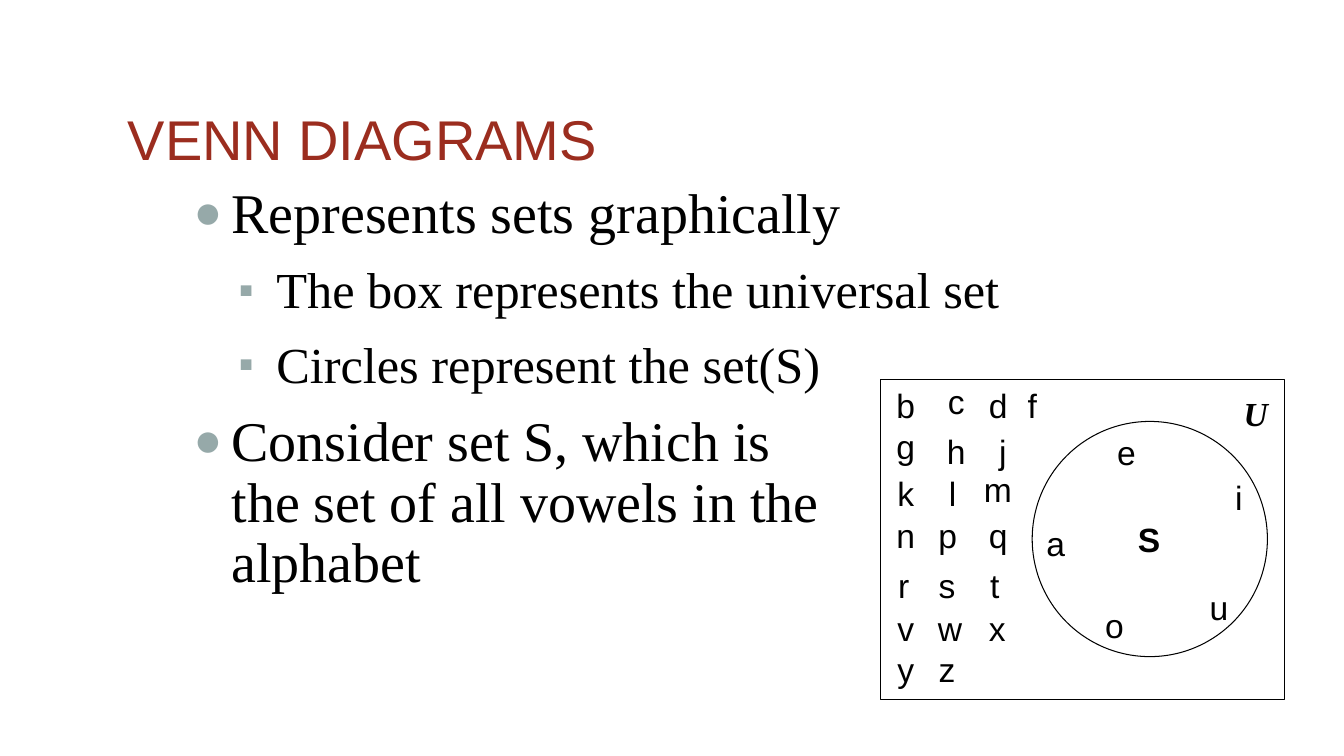
"""Build a slide that explains Venn diagrams with the vowels of the alphabet."""
from lxml import etree
from pptx import Presentation
from pptx.dml import color
from pptx.enum import shapes, text
from pptx.oxml import ns
from pptx.util import Pt

TITLE = "VENN DIAGRAMS"
POINTS = [
    (1, ["Represents sets graphically"]),
    (2, ["The box represents the universal set"]),
    (2, ["Circles represent the set(S)"]),
    (1, ["Consider set S, which is ", "the set of all vowels in the", "alphabet"]),
]
LEVELS = {1: ("●", 28, 40), 2: ("▪", 60, 36)}
CONSONANTS = [
    (271.4, {"b": 647, "d": 713, "f": 737.3}),
    (268.6, {"c": 683}),
    (301, {"g": 647}),
    (304.6, {"h": 683, "j": 716.4}),
    (334, {"k": 647, "l": 680.4}),
    (331.2, {"m": 712.8}),
    (364.3, {"n": 647, "p": 677, "q": 713}),
    (400.3, {"r": 645.5, "s": 676.4, "t": 710.6}),
    (430.6, {"v": 647, "w": 678.6, "x": 712.4}),
    (460, {"y": 647, "z": 676.4}),
]
VOWELS = [
    (370, {"a": 754.2}),
    (305.3, {"e": 804.6}),
    (337, {"i": 885}),
    (428.4, {"o": 796}),
    (415.4, {"u": 870.8}),
]
WIDTHS = {"i": 20, "j": 20, "l": 20, "f": 22, "t": 22, "r": 22,
          "m": 34.5, "w": 32.4, "U": 31.7, "S": 30.2}


def rgb(value):
    """Return the colour for a hex string."""
    return color.RGBColor.from_string(value)


class VennSlide:
    """Hold the style and the slide that is being drawn."""

    sans, serif = "Arial", "Times New Roman"
    ink, accent, bullet = "000000", "9B2D1F", "96A9A9"

    def __init__(self, deck):
        """Add a blank slide to the deck."""
        self.slide = deck.slides.add_slide(deck.slide_layouts[6])

    def frame(self, left, top, width, height, wrap=True):
        """Add a text box and return its text frame."""
        box = self.slide.shapes.add_textbox(Pt(left), Pt(top), Pt(width), Pt(height))
        box.text_frame.word_wrap = wrap
        return box.text_frame

    def run(self, paragraph, words, size, face, ink=ink, bold=False, italic=False):
        """Add one styled run to a paragraph."""
        run = paragraph.add_run()
        run.text = words
        font = run.font
        font.size, font.name, font.color.rgb = Pt(size), face, rgb(ink)
        font.bold, font.italic = bold, italic

    def title(self, words):
        """Add the slide title."""
        heading = self.frame(84.2, 38.2, 792, 126.7)
        heading.vertical_anchor = text.MSO_ANCHOR.MIDDLE
        heading.paragraphs[0].line_spacing = 0.9
        self.run(heading.paragraphs[0], words, 40, self.sans, self.accent)

    def mark(self, paragraph, symbol, indent):
        """Give a paragraph a coloured bullet with a hanging indent."""
        props = paragraph._p.get_or_add_pPr()
        props.set("marL", str(Pt(indent)))
        props.set("indent", str(Pt(-27)))
        tint = etree.SubElement(props, ns.qn("a:buClr"))
        etree.SubElement(tint, ns.qn("a:srgbClr"), val=self.bullet)
        etree.SubElement(props, ns.qn("a:buSzPct"), val="85000")
        etree.SubElement(props, ns.qn("a:buFont"), typeface=self.sans)
        etree.SubElement(props, ns.qn("a:buChar"), char=symbol)

    def bullets(self, points):
        """Add the bulleted explanation."""
        body = self.frame(130.3, 128.9, 684, 404)
        for order, (level, lines) in enumerate(points):
            symbol, indent, size = LEVELS[level]
            point = body.add_paragraph() if order else body.paragraphs[0]
            self.mark(point, symbol, indent)
            point.level = level - 1
            point.line_spacing = 0.9
            point.space_before = Pt(12 if order else 0)
            point.space_after = Pt(2)
            for row, line in enumerate(lines):
                if row:
                    point.add_line_break()
                self.run(point, line, size, self.serif)

    def outline(self, kind, left, top, width, height):
        """Add an unfilled shape with a thin line."""
        region = self.slide.shapes.add_shape(kind, Pt(left), Pt(top), Pt(width), Pt(height))
        region.shadow.inherit = False
        region.fill.background()
        region.line.color.rgb = rgb(self.ink)
        region.line.width = Pt(0.75)

    def letter(self, symbol, centre, top, face=sans, **emphasis):
        """Add one letter centred on a horizontal position."""
        width = WIDTHS.get(symbol, 27.5)
        label = self.frame(centre - width / 2, top, width, 36.4, wrap=False)
        label.auto_size = text.MSO_AUTO_SIZE.SHAPE_TO_FIT_TEXT
        label.paragraphs[0].alignment = text.PP_ALIGN.CENTER
        self.run(label.paragraphs[0], symbol, 24, face, **emphasis)

    def members(self, rows):
        """Add the letters of each row."""
        for top, row in rows:
            for symbol, centre in row.items():
                self.letter(symbol, centre, top)


def main():
    """Build and save the deck."""
    deck = Presentation()
    deck.slide_width, deck.slide_height = Pt(960), Pt(540)
    venn = VennSlide(deck)
    venn.title(TITLE)
    venn.bullets(POINTS)
    venn.members(VOWELS + CONSONANTS)
    venn.outline(shapes.MSO_SHAPE.RECTANGLE, 629.3, 271.4, 288, 228)
    venn.letter("U", 897, 277.2, venn.serif, bold=True, italic=True)
    venn.outline(shapes.MSO_SHAPE.OVAL, 737.3, 301, 168, 168)
    venn.letter("S", 820.8, 367.2, bold=True)
    deck.save("out.pptx")


if __name__ == "__main__":
    main()
